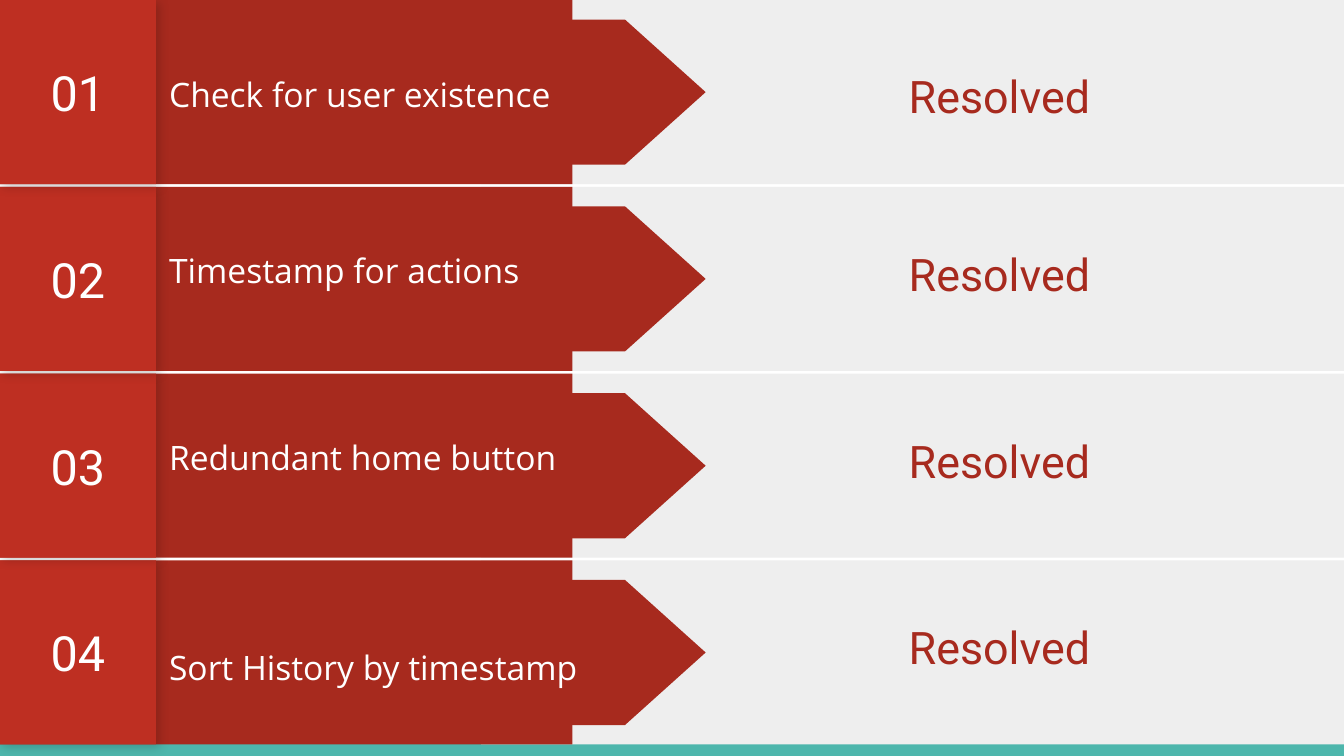
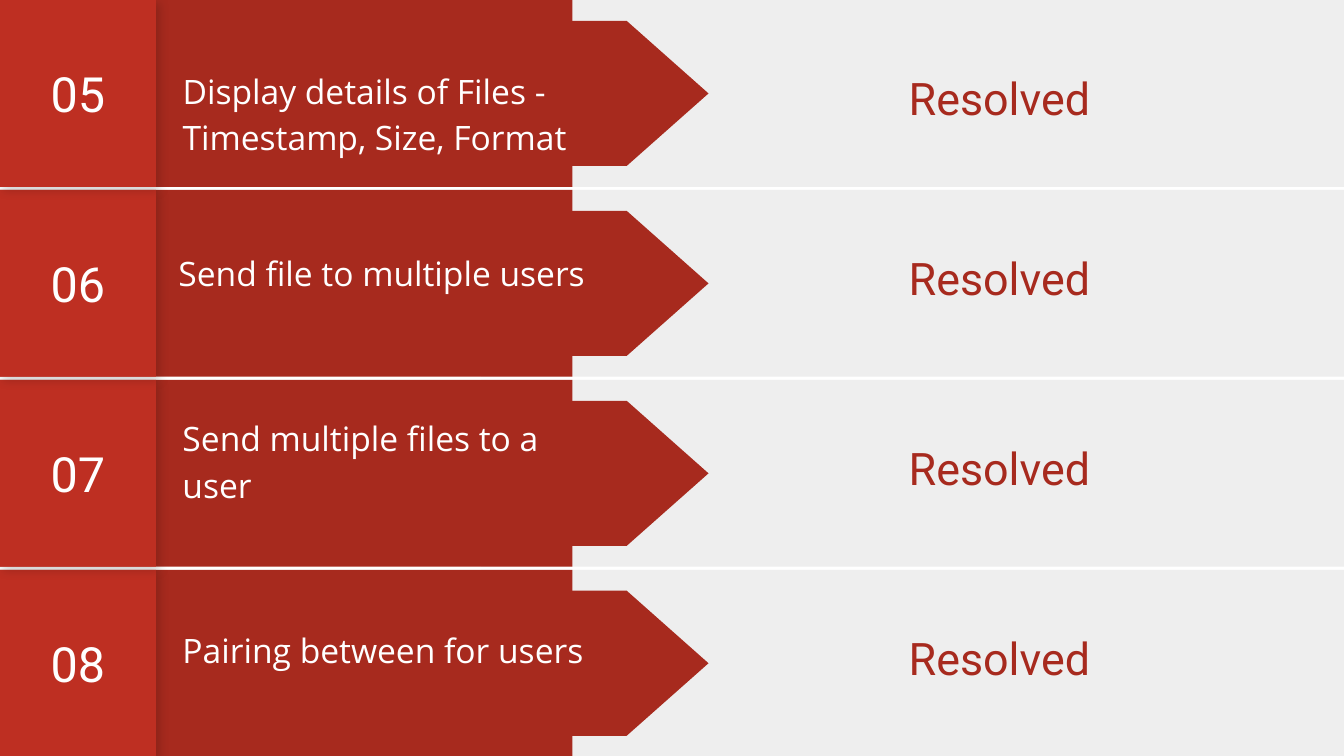
from dataclasses import dataclass

from lxml import etree
from pptx import Presentation
from pptx import util as u
from pptx.dml.color import RGBColor
from pptx.enum import shapes, text
from pptx.oxml import ns

# Colours and fonts
WHITE = RGBColor(0xFF, 0xFF, 0xFF)
TEAL = RGBColor(0x4D, 0xB6, 0xAC)
GREY = RGBColor(0xEE, 0xEE, 0xEE)
DARK_RED = RGBColor(0xA7, 0x2A, 0x1E)
SHADOW_RED = RGBColor(0xB0, 0x2C, 0x20)
BRIGHT_RED = RGBColor(0xBE, 0x2F, 0x22)
BODY_FONT = "Open Sans"
DISPLAY_FONT = "Roboto"

# Columns shared by all rows, in inches
SLIDE_WIDTH, SLIDE_HEIGHT = 10, 5.625
NUMBER_WIDTH = 1.16
ISSUE_WIDTH = 3.1
STATUS_LEFT = 3.58
ARROW_CENTER = 3.75
ARROW_BREADTH = 1.08
ARROW_LENGTH_RATIO = 2.19
ROWS_PER_SLIDE = 4


@dataclass
class Issue:
    """An issue and the box of its text; top is measured from the row's top."""
    title: str
    left: float
    top: float
    width: float
    height: float
    shift: float = 0


# Each slide: row height, bottom of the last row, issues
SLIDES = [
    (1.37, 5.54, [
        Issue("Check for user existence", 1.16, 0, 3.78, 1.36),
        Issue("Timestamp for actions", 1.16, 0.02, 4.48, 1.36, -0.1),
        Issue("Redundant home button", 1.16, 0.17, 3.26, 1.05, -0.1),
        Issue("Sort History by timestamp", 1.16, 0.01, 3.36, 1.22, 0.15),
    ]),
    (1.39, 5.63, [
        Issue("Display details of Files - Timestamp, Size, Format",
              1.26, 0.17, 3.21, 1.15, 0.08),
        Issue("Send file to multiple users", 1.23, 0.02, 3.24, 1.39, -0.12),
        Issue("Send multiple files to a user", 1.26, 0.17, 3.26, 1.07, -0.12),
        Issue("Pairing between for users", 1.26, 0.16, 3.26, 1.07, -0.12),
    ]),
]


def add_block(parent, left, top, width, height, color,
              kind=shapes.MSO_SHAPE.RECTANGLE):
    shape = parent.shapes.add_shape(kind, u.Inches(left), u.Inches(top),
                                    u.Inches(width), u.Inches(height))
    shape.shadow.inherit = False
    shape.fill.solid()
    shape.fill.fore_color.rgb = color
    shape.line.fill.background()
    return shape


def write_text(shape, content, *, size, color, font=DISPLAY_FONT,
               align=text.PP_ALIGN.CENTER, spacing=None, indent=0, shift=0):
    """Write middle-anchored text; shift moves it down (or up) in its box."""
    frame = shape.text_frame
    frame.word_wrap = True
    frame.vertical_anchor = text.MSO_ANCHOR.MIDDLE
    frame.margin_left = u.Inches(0.1 + indent)
    frame.margin_right = u.Inches(0.1)
    frame.margin_top = u.Inches(0.05 + 2 * max(shift, 0))
    frame.margin_bottom = u.Inches(0.05 + 2 * max(-shift, 0))
    paragraph = frame.paragraphs[0]
    paragraph.alignment = align
    if spacing:
        paragraph.line_spacing = spacing
    run = paragraph.add_run()
    run.text = content
    run.font.name = font
    run.font.size = u.Pt(size)
    run.font.color.rgb = color


def add_label(parent, left, top, width, height, content, **style):
    box = parent.shapes.add_textbox(u.Inches(left), u.Inches(top),
                                    u.Inches(width), u.Inches(height))
    write_text(box, content, **style)


def add_soft_shadow(shape):
    effects = shape._element.spPr.find(ns.qn("a:effectLst"))
    shadow = etree.SubElement(
        effects, ns.qn("a:outerShdw"), blurRad=str(u.Pt(5.6)),
        dist=str(u.Pt(2.2)), dir="2700000", algn="bl", rotWithShape="0")
    color = etree.SubElement(shadow, ns.qn("a:srgbClr"), val="000000")
    etree.SubElement(color, ns.qn("a:alpha"), val="17000")


def add_arrow(parent, middle, row_height):
    length = row_height * ARROW_LENGTH_RATIO
    arrow = add_block(parent, ARROW_CENTER - ARROW_BREADTH / 2,
                      middle - length / 2, ARROW_BREADTH, length, DARK_RED,
                      shapes.MSO_SHAPE.FLOWCHART_OFFPAGE_CONNECTOR)
    arrow.rotation = 270


def add_issue_row(slide, number, issue, top, height, status_shift):
    row = slide.shapes.add_group_shape()

    # Bands and arrow
    add_block(row, STATUS_LEFT, top, SLIDE_WIDTH - STATUS_LEFT, height, GREY)
    add_block(row, NUMBER_WIDTH, top, ISSUE_WIDTH, height, DARK_RED)
    add_arrow(row, top + height / 2, height)

    # Issue
    add_label(row, issue.left, top + issue.top, issue.width, issue.height,
              issue.title, size=18, color=WHITE, font=BODY_FONT,
              align=text.PP_ALIGN.LEFT, spacing=1.15, shift=issue.shift)

    # Number
    add_soft_shadow(add_block(row, 0, top, NUMBER_WIDTH, height, SHADOW_RED))
    number_block = add_block(row, 0, top, NUMBER_WIDTH, height, BRIGHT_RED)
    write_text(number_block, f"{number:02}", size=26, color=WHITE)

    # Status
    add_label(row, 4.69, top, 4.99, height, "Resolved", size=24,
              color=DARK_RED, spacing=1.15, indent=0.5, shift=status_shift)


def add_issue_slide(presentation, first_number, row_height, bottom, issues):
    slide = presentation.slides.add_slide(presentation.slide_layouts[6])
    add_block(slide, 0, 5.52, SLIDE_WIDTH, 0.11, TEAL)
    pitch = (bottom - row_height) / (len(issues) - 1)
    # The lowest row goes to the back, so each shadow falls on the row below
    for index, issue in reversed(list(enumerate(issues))):
        add_issue_row(slide, first_number + index, issue, index * pitch,
                      row_height, status_shift=-0.07 if index else 0)


def main():
    presentation = Presentation()
    presentation.slide_width = u.Inches(SLIDE_WIDTH)
    presentation.slide_height = u.Inches(SLIDE_HEIGHT)
    for page, (row_height, bottom, issues) in enumerate(SLIDES):
        add_issue_slide(presentation, page * ROWS_PER_SLIDE + 1,
                        row_height, bottom, issues)
    presentation.save("out.pptx")


if __name__ == "__main__":
    main()
